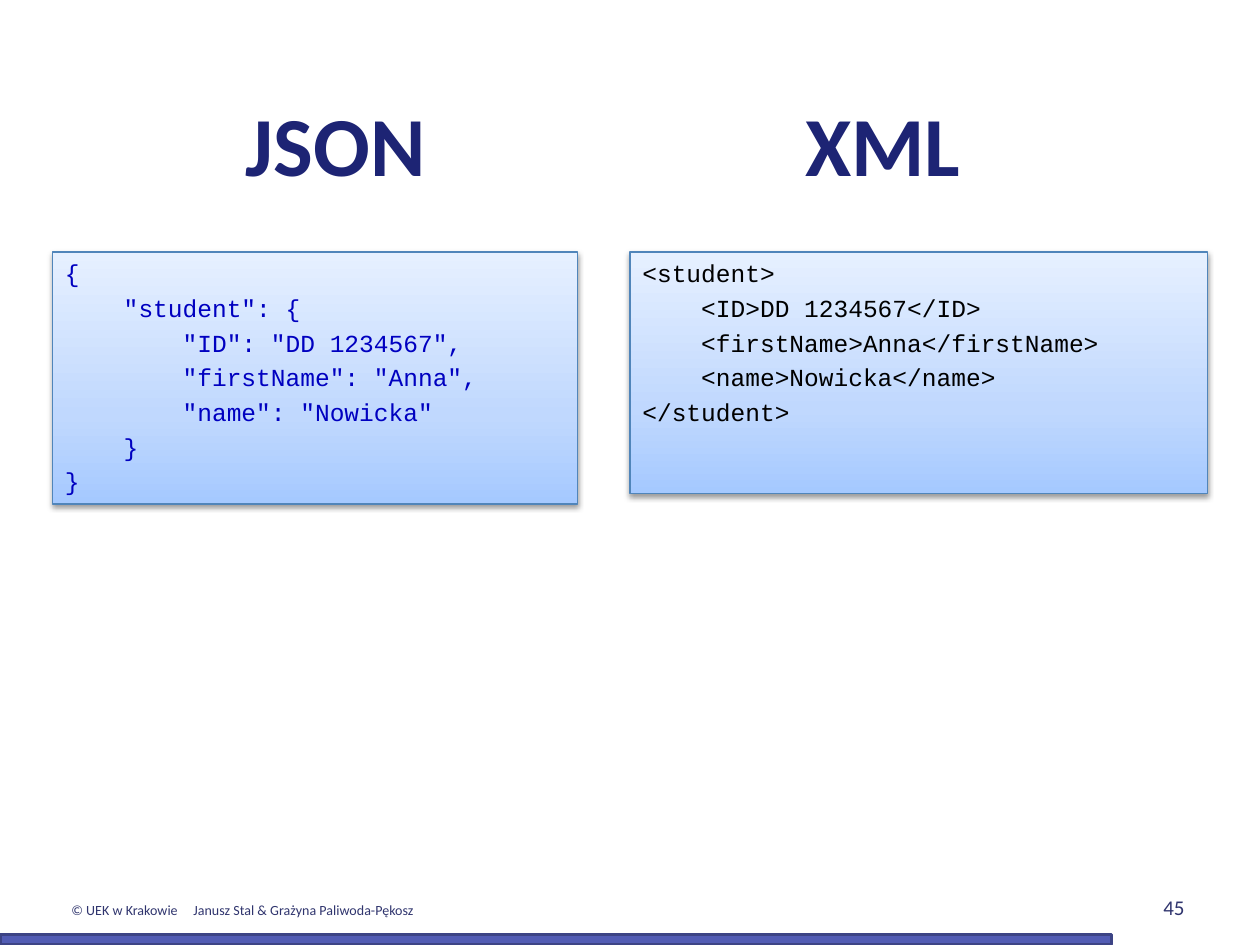
from copy import deepcopy

from lxml.etree import SubElement as Sub
from pptx import Presentation
from pptx.dml.color import RGBColor as Rgb
from pptx.enum.shapes import MSO_SHAPE as Geo
from pptx.enum.text import MSO_ANCHOR as Anchor, PP_ALIGN as Align
from pptx.oxml.ns import qn
from pptx.util import Cm, Pt

NAVY, INK = "1D2474", "30356E"

JSON = """{
    "student": {
        "ID": "DD 1234567",
        "firstName": "Anna",
        "name": "Nowicka"
    }
}"""

XML = """<student>
    <ID>DD 1234567</ID>
    <firstName>Anna</firstName>
    <name>Nowicka</name>
</student>"""


def hue(code):
    return Rgb.from_string(code)


class Deck:
    font, mono = "Calibri", "Courier New"
    shades = [(0, "A5C9FF"), (0.35, "C0D8FE"), (1, "E6F0FF")]

    def __init__(self, wide, high):
        self.prs = Presentation()
        self.prs.slide_width, self.prs.slide_height = Cm(wide), Cm(high)
        self.slide = self.prs.slides.add_slide(self.prs.slide_layouts[6])

    def style(self, para, font, size, color, bold=False):
        for run in para.runs:
            run.font.name, run.font.size = font, Pt(size)
            run.font.bold = bold
            run.font.color.rgb = hue(color)

    def text(self, box, words, size, color, bold=False,
             align=Align.LEFT, anchor=Anchor.TOP, tabs=()):
        frame = self.slide.shapes.add_textbox(*map(Cm, box)).text_frame
        frame.word_wrap = True
        frame.vertical_anchor = anchor
        para = frame.paragraphs[0]
        if tabs:
            stops = Sub(para._p.get_or_add_pPr(), qn("a:tabLst"))
            for place, kind in tabs:
                Sub(stops, qn("a:tab"), pos=str(Cm(place)), algn=kind)
        para.text = words
        para.alignment = align
        self.style(para, self.font, size, color, bold)

    def rect(self, box, line, width):
        shape = self.slide.shapes.add_shape(Geo.RECTANGLE, *map(Cm, box))
        shape.shadow.inherit = False
        shape.line.color.rgb = hue(line)
        shape.line.width = Pt(width)
        return shape

    def bar(self, box, fill, line):
        shape = self.rect(box, line, 2)
        shape.fill.solid()
        shape.fill.fore_color.rgb = hue(fill)

    def shade(self, shape):
        # Three-stop gradient, light at the top
        shape.fill.gradient()
        shape.fill.gradient_angle = 90
        stops = shape._element.spPr.find(".//" + qn("a:gsLst"))
        stops.insert(1, deepcopy(stops[0]))
        for stop, (place, code) in zip(shape.fill.gradient_stops, self.shades):
            stop.position = place
            stop.color.rgb = hue(code)

    def drop(self, shape):
        # Soft shadow below
        effects = shape._element.spPr.find(qn("a:effectLst"))
        outer = Sub(effects, qn("a:outerShdw"), blurRad=str(Pt(3.1)),
                    dist=str(Pt(1.6)), dir="5400000", rotWithShape="0")
        color = Sub(outer, qn("a:srgbClr"), val="000000")
        Sub(color, qn("a:alpha"), val="38000")

    def code(self, box, words, color):
        shape = self.rect(box, "5085BA", 0.75)
        self.shade(shape)
        self.drop(shape)
        frame = shape.text_frame
        frame.word_wrap = True
        frame.vertical_anchor = Anchor.TOP
        frame.text = words
        for i, para in enumerate(frame.paragraphs):
            para.alignment = Align.LEFT
            para.space_before = Pt(3 if i else 0)
            self.style(para, self.mono, 14, color)


def main():
    deck = Deck(25.4, 19.05)

    # Title, one heading over each panel
    deck.text((1.27, 0.86, 22.86, 3.17), "\tJSON\tXML", 48, NAVY, bold=True,
              anchor=Anchor.BOTTOM, tabs=[(5.25, "ctr"), (16.28, "ctr")])

    # Code panels
    deck.code((1.06, 5.08, 10.59, 5.08), JSON, "0000C0")
    deck.code((12.7, 5.08, 11.64, 4.87), XML, "000000")

    # Footer
    deck.text((1.19, 18.05, 7.92, 0.6),
              "© UEK w Krakowie\tJanusz Stal & Grażyna Paliwoda-Pękosz",
              8, INK, tabs=[(2.46, "l")])
    deck.text((18.21, 17.35, 5.92, 1.32), "45", 12, INK,
              align=Align.RIGHT, anchor=Anchor.BOTTOM)
    deck.bar((0, 18.84, 22.41, 0.2), "525CB4", "3D4485")

    deck.prs.save("out.pptx")


if __name__ == "__main__":
    main()
